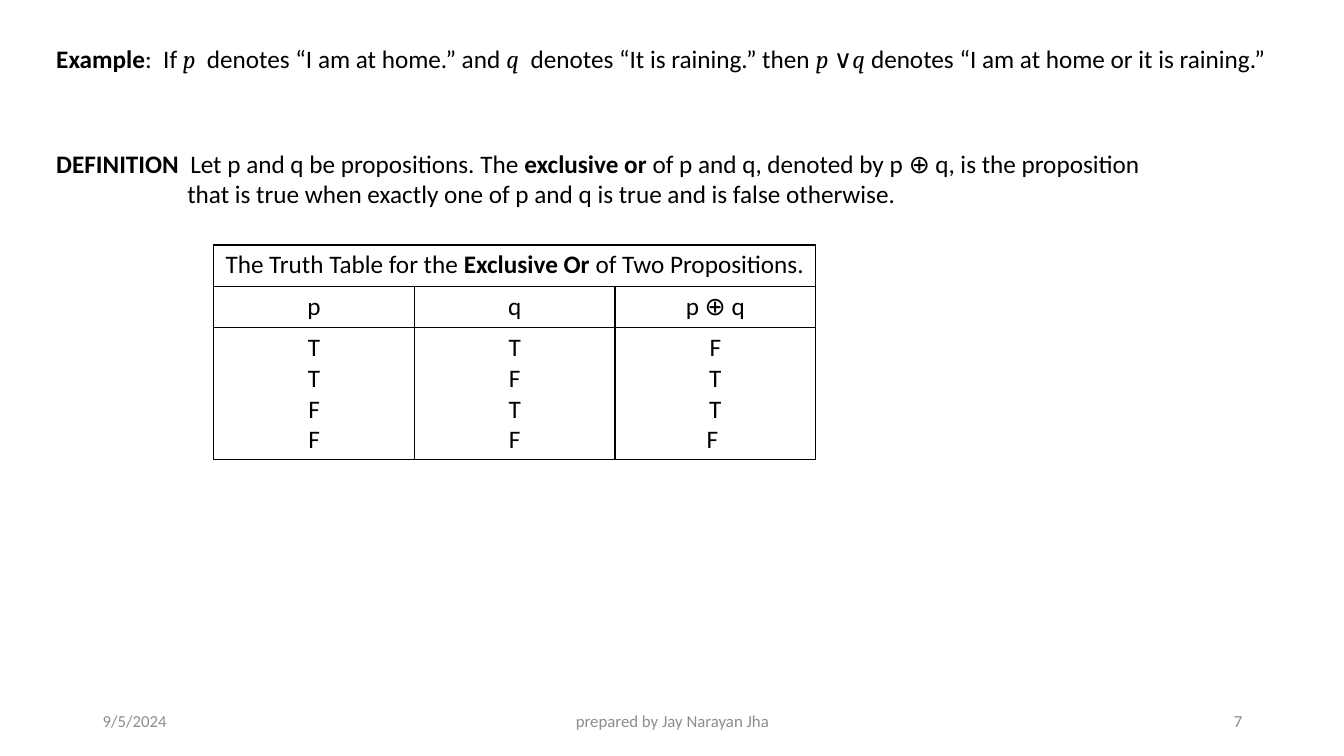
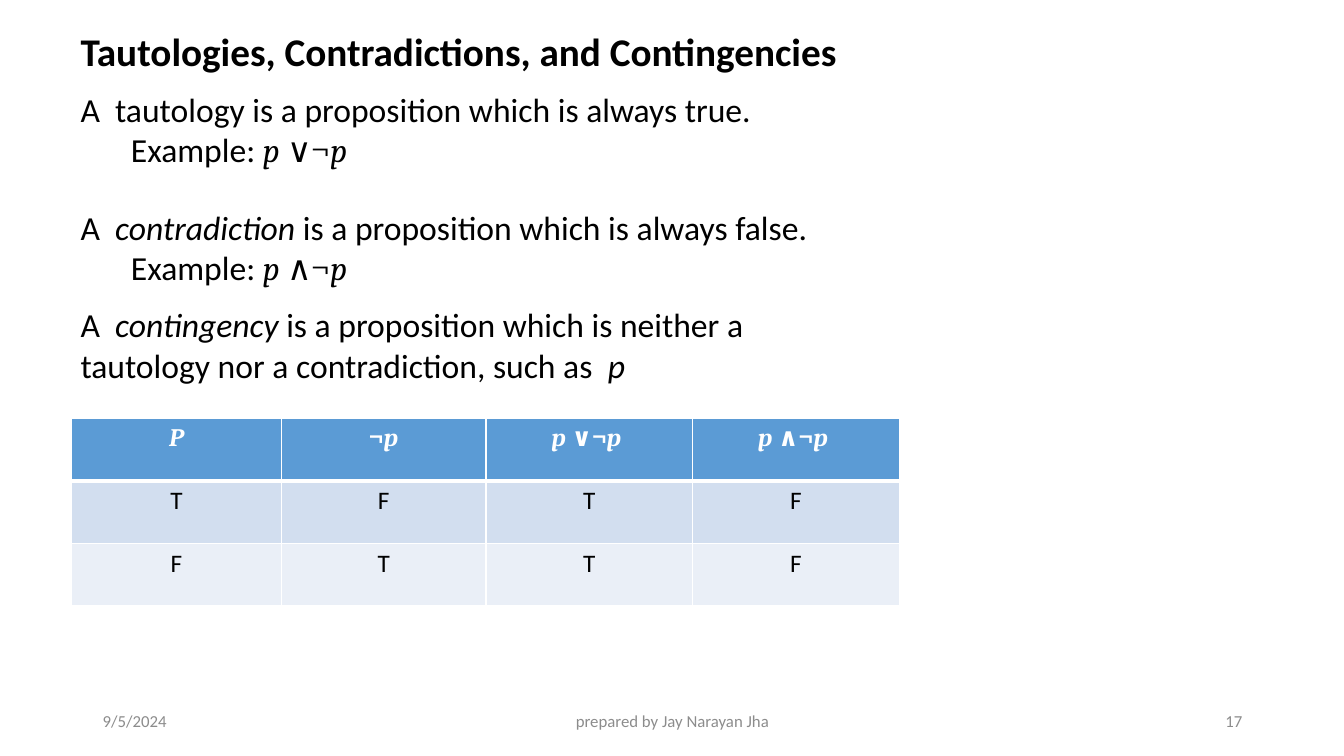
from lxml.etree import SubElement
from pptx import Presentation
from pptx.dml.color import RGBColor
from pptx.enum.text import MSO_ANCHOR, PP_ALIGN
from pptx.oxml.ns import qn
from pptx.util import Inches, Pt

HUES = {"ink": "000000", "gray": "8C8C8C", "white": "FFFFFF",
        "head": "5B9BD5", "odd": "D2DEEF", "even": "EAEFF7"}
ALIGN = {"l": PP_ALIGN.LEFT, "c": PP_ALIGN.CENTER, "r": PP_ALIGN.RIGHT}

# Run styles: plain, bold, italic, math variable, math sign, and bold math
STYLES = {
    "": {"name": "Calibri", "bold": False, "italic": False},
    "b": {"name": "Calibri", "bold": True, "italic": False},
    "i": {"name": "Calibri", "bold": False, "italic": True},
    "m": {"name": "Cambria", "bold": False, "italic": True},
    "s": {"name": "Cambria", "bold": False, "italic": False},
    "bm": {"name": "Cambria", "bold": True, "italic": True},
    "bs": {"name": "Cambria", "bold": True, "italic": False},
}


def color(key):
    return RGBColor.from_string(HUES[key])


def write(frame, lines, size=18, hue="ink", align="l", indents=()):
    """Fill a frame; each line is a string or a list of (text, style)."""
    for i, line in enumerate(lines):
        para = frame.paragraphs[0] if i == 0 else frame.add_paragraph()
        para.alignment = ALIGN[align]
        if i < len(indents) and indents[i]:
            props = para._p.get_or_add_pPr()
            props.set("marL", str(Inches(indents[i])))
            props.set("indent", "0")
        for text, style in [(line, "")] if isinstance(line, str) else line:
            run = para.add_run()
            run.text = text
            for key, value in {**STYLES[style], "size": Pt(size)}.items():
                setattr(run.font, key, value)
            run.font.color.rgb = color(hue)


def label(slide, box, lines, wrap=True, middle=False, **look):
    frame = slide.shapes.add_textbox(*map(Inches, box)).text_frame
    frame.word_wrap = wrap
    if middle:
        frame.vertical_anchor = MSO_ANCHOR.MIDDLE
    write(frame, lines, **look)


def border(cell, hue, top=1, bottom=1):
    props = cell._tc.get_or_add_tcPr()
    for side, width in (("L", 1), ("R", 1), ("T", top), ("B", bottom)):
        line = SubElement(props, qn(f"a:ln{side}"), w=str(Pt(width)))
        fill = SubElement(line, qn("a:solidFill"))
        SubElement(fill, qn("a:srgbClr"), val=HUES[hue])


def grid(slide, left, top, widths, heights):
    shape = slide.shapes.add_table(
        len(heights), len(widths), Inches(left), Inches(top),
        Inches(sum(widths)), Inches(sum(heights)))
    table = shape.table
    table.first_row = table.horz_banding = False
    for col, width in zip(table.columns, widths):
        col.width = Inches(width)
    for row, height in zip(table.rows, heights):
        row.height = Inches(height)
    return table


def footer(slide, number):
    parts = ((0.92, 3, "9/5/2024", "l"),
             (4.42, 4.5, "prepared by Jay Narayan Jha", "c"),
             (9.42, 3, str(number), "r"))
    for left, width, text, align in parts:
        label(slide, (left, 6.95, width, 0.4), [text], middle=True,
              size=12, hue="gray", align=align)


def truth(slide, left, top):
    """Outlined table with a merged caption row."""
    table = grid(slide, left, top, [1.99] * 3, [0.41, 0.41, 1.31])
    for cell in table.iter_cells():
        border(cell, "ink")
        cell.fill.background()
    table.cell(0, 0).merge(table.cell(0, 2))
    write(table.cell(0, 0).text_frame, [[
        ("The Truth Table for the ", ""), ("Exclusive Or ", "b"),
        ("of Two Propositions.", "")]], align="c")
    columns = (("p", "TTFF"), ("q", "TFTF"), ("p ⊕ q", ["F", "T", "T", "F "]))
    for c, (name, values) in enumerate(columns):
        write(table.cell(1, c).text_frame, [name], align="c")
        write(table.cell(2, c).text_frame, values, align="c")


def banded(slide, left, top):
    """Table with a coloured header and alternating rows."""
    table = grid(slide, left, top, [2.08, 2.03, 2.05, 2.05], [0.62] * 3)
    heads = ([("P", "bm")],
             [("¬", "bs"), ("p", "bm")],
             [("p ", "bm"), ("∨¬", "bs"), ("p ", "bm")],
             [("p ", "bm"), ("∧¬", "bs"), ("p ", "bm")])
    rows = ((heads, "head", "white", 1, 3),
            ("TFTF", "odd", "ink", 3, 1),
            ("FTTF", "even", "ink", 1, 1))
    for r, (texts, fill, ink, over, under) in enumerate(rows):
        for c, text in enumerate(texts):
            cell = table.cell(r, c)
            border(cell, "white", over, under)
            cell.fill.solid()
            cell.fill.fore_color.rgb = color(fill)
            write(cell.text_frame, [text], hue=ink, align="c")


def exclusive(slide):
    # Example
    label(slide, (0.46, 0.38, 12.46, 0.4), [[
        ("Example", "b"), (":  If ", ""), ("p", "m"),
        ("  denotes “I am at home.” and ", ""), ("q", "m"),
        ("  denotes “It is raining.” then ", ""),
        ("p ", "m"), ("∨", "s"), ("q", "m"),
        (" denotes “I am at home or it is raining.”", "")]])
    # Definition
    label(slide, (0.46, 1.42, 11.23, 0.71), [
        [("DEFINITION", "b"), ("  Let p and q be propositions. The ", ""),
         ("exclusive or ", "b"),
         ("of p and q, denoted by p ⊕ q, is the proposition", "")],
        "that is true when exactly one of p and q is true "
        "and is false otherwise."], indents=(0, 1.3))
    truth(slide, 2.12, 2.43)


def kinds(slide):
    left = 0.7
    # Title
    label(slide, (left, 0.22, 7.79, 0.57),
          [[("Tautologies, Contradictions, and Contingencies", "b")]],
          wrap=False, size=28)
    # Terms with an example each
    terms = (
        (0.83, 7.19, [("A  tautology is a proposition which is always true.",
                       "")], "∨¬"),
        (2, 7.52, [("A  ", ""), ("contradiction", "i"),
                   (" is a proposition which is always false.", "")], "∧¬"))
    for top, width, text, sign in terms:
        case = [("Example: ", ""), ("p ", "m"), (sign, "s"), ("p", "m")]
        label(slide, (left, top, width, 0.91), [text, case],
              size=24, indents=(0, 0.5))
    label(slide, (left, 2.97, 7.71, 0.91), [[
        ("A  ", ""), ("contingency", "i"),
        (" is a proposition which is neither a tautology nor "
         "a contradiction, such as  ", ""), ("p", "i")]], size=24)
    banded(slide, 0.71, 4.15)


def main():
    deck = Presentation()
    deck.slide_width, deck.slide_height = Inches(13.33), Inches(7.5)
    for build, number in ((exclusive, 7), (kinds, 17)):
        slide = deck.slides.add_slide(deck.slide_layouts[6])
        build(slide)
        footer(slide, number)
    deck.save("out.pptx")


if __name__ == "__main__":
    main()
